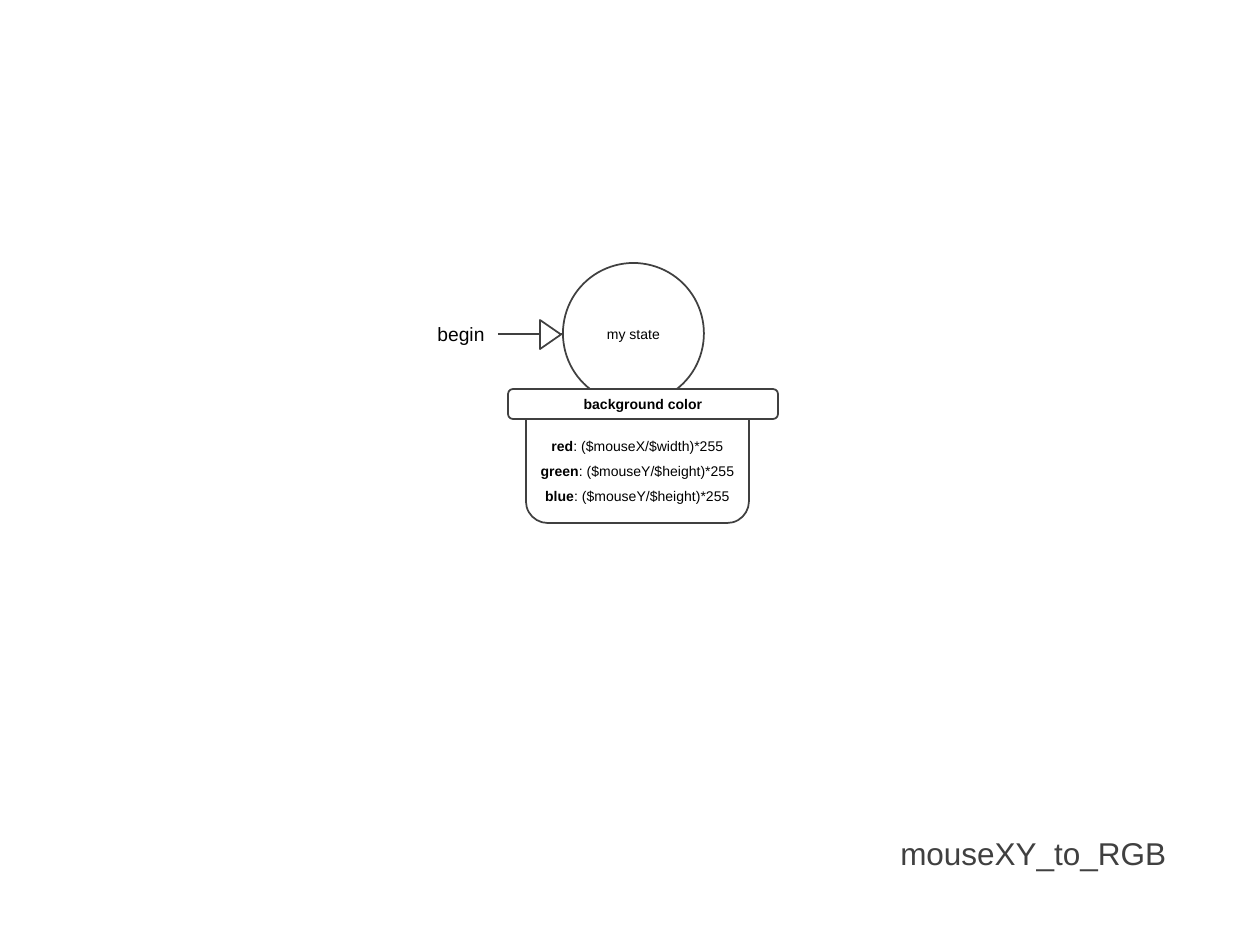
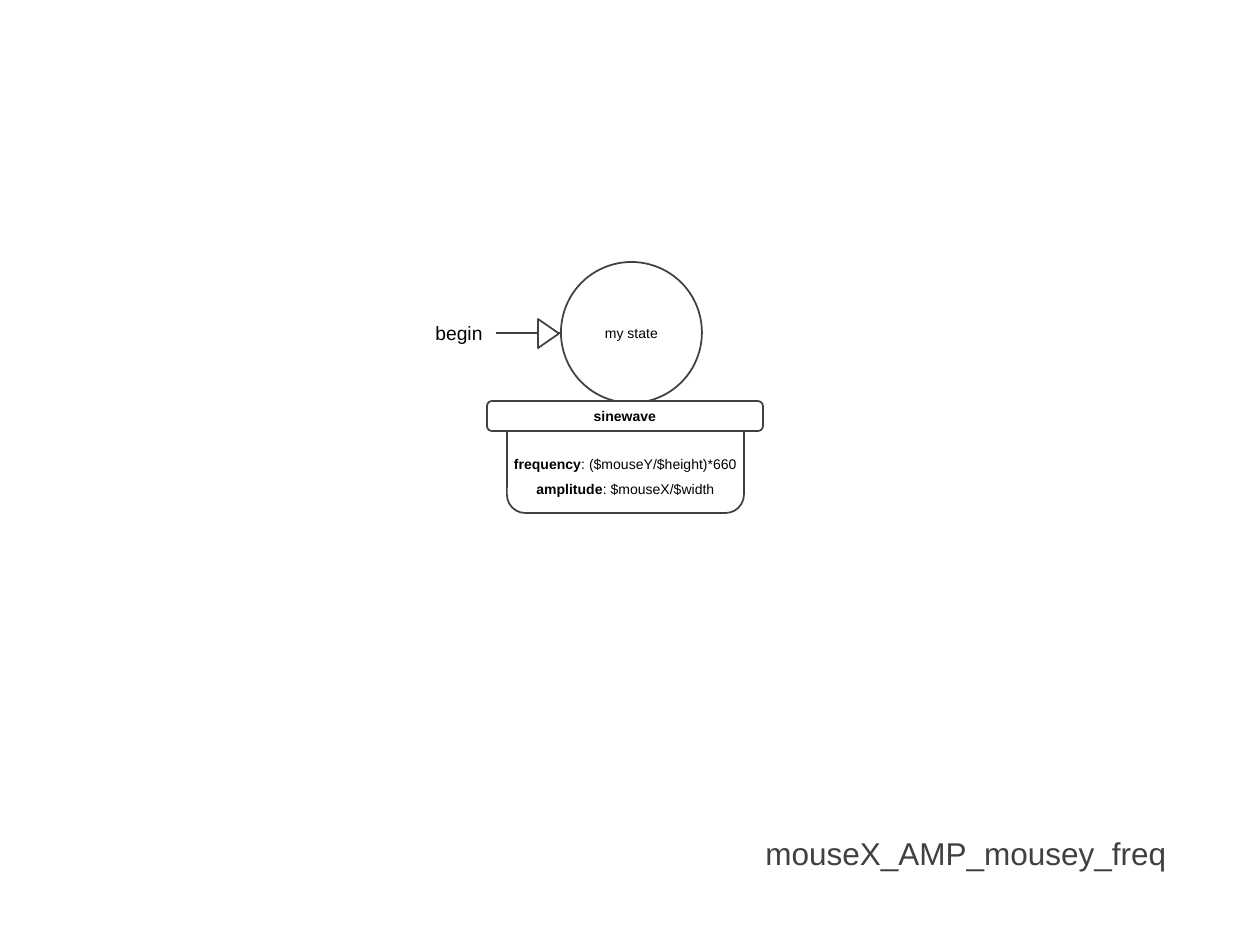
"""Builds two state diagrams, each with a state, its entry arrow and its settings."""
from pptx import Presentation
from pptx import util as u
from pptx.dml.color import RGBColor
from pptx.enum import shapes, text
from pptx.oxml import parse_xml
from pptx.oxml.ns import nsdecls

PX = u.Inches(1) / 126
COLORS = {"paper": "FFFFFF", "outline": "404040", "title": "404040", "ink": "000000"}
FONT = "Arial"
STATE_SIZE = 141
BAR_HEIGHT = 30


def px(*lengths):
    """Turn pixel lengths into EMU."""
    return [u.Emu(round(length * PX)) for length in lengths]


def color(key):
    """Look up a colour of the palette."""
    return RGBColor.from_string(COLORS[key])


def write(frame, *lines, size=8, ink="ink", align="CENTER", anchor="TOP",
          spacing=1.0, wrap=True):
    """Fill a text frame with lines, each a list of (words, bold) pairs."""
    frame.word_wrap = wrap
    frame.auto_size = text.MSO_AUTO_SIZE.NONE
    frame.vertical_anchor = text.MSO_ANCHOR[anchor]
    for index, line in enumerate(lines):
        paragraph = frame.add_paragraph() if index else frame.paragraphs[0]
        paragraph.alignment = text.PP_ALIGN[align]
        paragraph.line_spacing = spacing
        paragraph.space_before = u.Pt(0)
        for words, bold in line:
            run = paragraph.add_run()
            run.text = words
            run.font.name = FONT
            run.font.size = u.Pt(size)
            run.font.bold = bold
            run.font.color.rgb = color(ink)


def outlined(slide, preset, *box):
    """Add a white preset shape with a thin dark outline."""
    shape = slide.shapes.add_shape(preset, *px(*box))
    shape.shadow.inherit = False
    shape.fill.solid()
    shape.fill.fore_color.rgb = color("paper")
    shape.line.color.rgb = color("outline")
    shape.line.width = u.Pt(1)
    return shape


def add_title(slide, words):
    """Place the slide title at the lower right."""
    title = slide.shapes.title
    title.left, title.top, title.width, title.height = px(588, 809, 591, 67)
    write(title.text_frame, [(words, False)], size=18, ink="title", align="RIGHT",
          spacing=1.5)


def add_state(slide, left, top):
    """Add the state circle."""
    state = outlined(slide, shapes.MSO_SHAPE.OVAL, left, top, STATE_SIZE, STATE_SIZE)
    write(state.text_frame, [("my state", False)], anchor="MIDDLE")


def add_entry(slide, left, top):
    """Add the begin label and the arrow that enters the state at its left."""
    middle = top + 71
    stem = slide.shapes.add_connector(
        shapes.MSO_CONNECTOR.STRAIGHT, *px(left - 65, middle, left, middle))
    stem.line.color.rgb = color("outline")
    stem.line.width = u.Pt(1)
    stem._element.spPr.append(parse_xml(f"<a:effectLst {nsdecls('a')}/>"))
    tip = outlined(slide, shapes.MSO_SHAPE.ISOSCELES_TRIANGLE, left - 27, top + 61, 29, 21)
    tip.rotation = 90
    label = slide.shapes.add_textbox(*px(left - 138, top + 53, 73, 37))
    write(label.text_frame, [("begin", False)], size=11, align="LEFT", wrap=False)


def add_settings(slide, heading, settings, bar, tray, listing):
    """Add a heading bar over a tray that lists named settings."""
    rounded = shapes.MSO_SHAPE.ROUNDED_RECTANGLE
    outlined(slide, rounded, *tray)
    header = outlined(slide, rounded, *bar, BAR_HEIGHT)
    write(header.text_frame, [(heading, True)], anchor="MIDDLE")
    values = slide.shapes.add_textbox(*px(*listing))
    lines = [[(name, True), (f": {formula}", False)] for name, formula in settings.items()]
    write(values.text_frame, *lines, spacing=1.5)


def add_diagram(deck, title, state, **settings):
    """Add one slide with a state, its entry and its settings."""
    slide = deck.slides.add_slide(deck.slide_layouts[5])
    add_title(slide, title)
    add_state(slide, *state)
    add_settings(slide, **settings)
    add_entry(slide, *state)


def main():
    """Build and save the deck."""
    deck = Presentation()
    deck.slide_width, deck.slide_height = px(1260, 945)
    add_diagram(
        deck, "mouseXY_to_RGB", (563, 263), heading="background color",
        settings={"red": "($mouseX/$width)*255",
                  "green": "($mouseY/$height)*255",
                  "blue": "($mouseY/$height)*255"},
        bar=(508, 389, 270), tray=(526, 393, 223, 130), listing=(526, 423, 223, 88))
    add_diagram(
        deck, "mouseX_AMP_mousey_freq", (561, 262), heading="sinewave",
        settings={"frequency": "($mouseY/$height)*660",
                  "amplitude": "$mouseX/$width"},
        bar=(487, 401, 276), tray=(507, 403, 237, 110), listing=(498, 441, 255, 62))
    deck.save("out.pptx")


if __name__ == "__main__":
    main()
